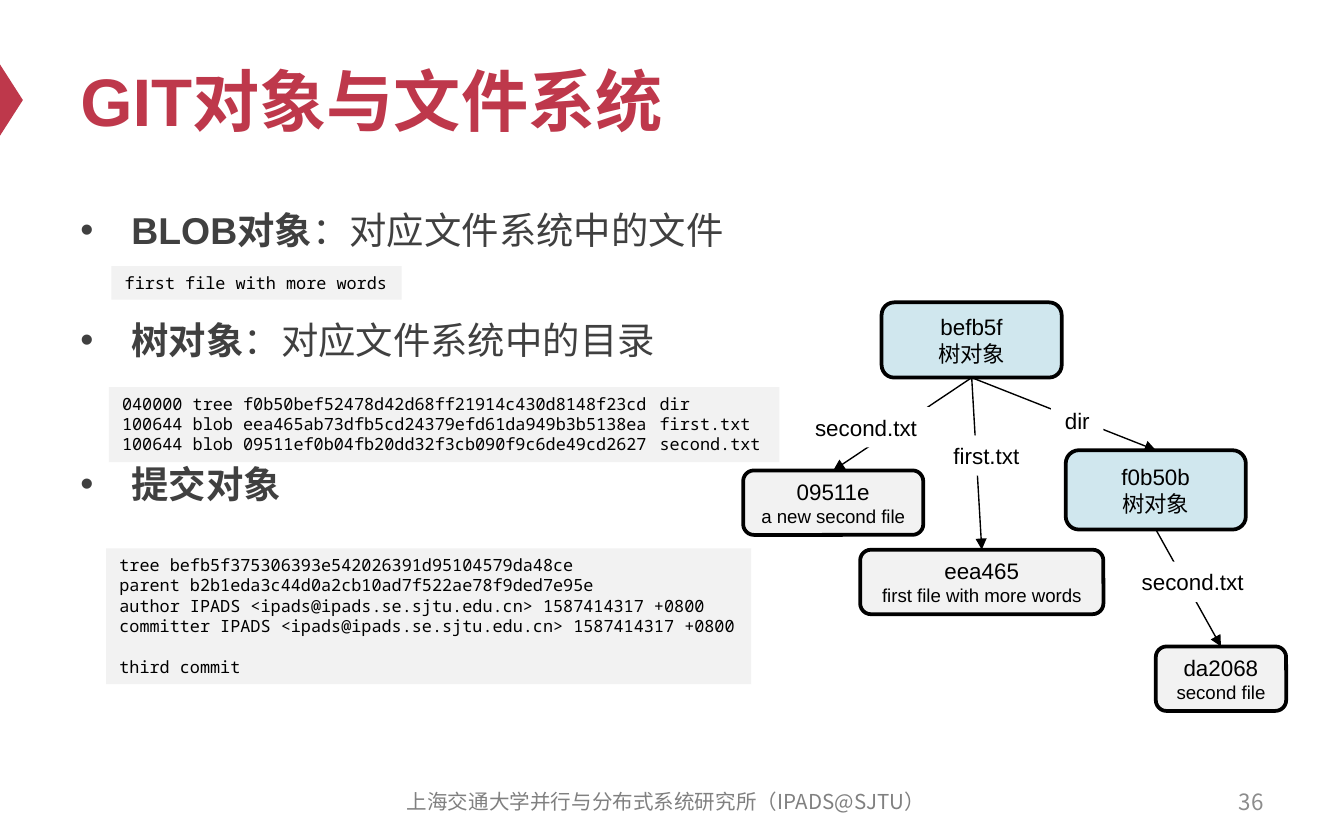
from lxml import etree
from pptx import Presentation
from pptx.dml.color import RGBColor
from pptx.enum.shapes import MSO_CONNECTOR, MSO_SHAPE
from pptx.enum.text import MSO_ANCHOR, MSO_AUTO_SIZE, PP_ALIGN
from pptx.oxml.ns import qn
from pptx.util import Inches, Pt

LEFT, CENTER, RIGHT = PP_ALIGN.LEFT, PP_ALIGN.CENTER, PP_ALIGN.RIGHT
TOP, MIDDLE = MSO_ANCHOR.TOP, MSO_ANCHOR.MIDDLE
FIT = MSO_AUTO_SIZE.SHAPE_TO_FIT_TEXT
RECT, ROUND = MSO_SHAPE.RECTANGLE, MSO_SHAPE.ROUNDED_RECTANGLE
TRIANGLE, STRAIGHT = MSO_SHAPE.ISOSCELES_TRIANGLE, MSO_CONNECTOR.STRAIGHT

COLORS = {"red": "BE384B", "body": "404040", "page": "8C8C8C",
          "foot": "808080", "tree": "D0E7EE", "blob": "F2F2F2",
          "black": "000000", "white": "FFFFFF"}
SANS, CJK, MONO = "Arial", "Noto Sans CJK SC", "Noto Sans Mono"

POINTS = [("BLOB对象", "：对应文件系统中的文件", 0),
          ("树对象", "：对应文件系统中的目录", 35),
          ("提交对象", "", 53)]

BLOB = ["first file with more words"]
TREE = ["040000 tree f0b50bef52478d42d68ff21914c430d8148f23cd\tdir",
        "100644 blob eea465ab73dfb5cd24379efd61da949b3b5138ea\tfirst.txt",
        "100644 blob 09511ef0b04fb20dd32f3cb090f9c6de49cd2627\tsecond.txt"]
COMMIT = ["tree befb5f375306393e542026391d95104579da48ce",
          "parent b2b1eda3c44d0a2cb10ad7f522ae78f9ded7e95e",
          "author IPADS <ipads@ipads.se.sjtu.edu.cn> 1587414317 +0800",
          "committer IPADS <ipads@ipads.se.sjtu.edu.cn> 1587414317 +0800",
          "third commit"]

# Places are relative to the corner of the graph.
NODES = {"befb5f": ("树对象", "tree", (1.03, 0, 1.34, 0.56)),
         "f0b50b": ("树对象", "tree", (2.4, 1.1, 1.34, 0.59)),
         "09511e": ("a new second file", "blob", (0, 1.25, 1.34, 0.48)),
         "eea465": ("first file with more words", "blob",
                    (0.87, 1.84, 1.81, 0.48)),
         "da2068": ("second file", "blob", (3.07, 2.56, 0.97, 0.48))}
LINKS = [("befb5f", "f0b50b", "dir", (2.29, 0.73, 0.39, 0.3)),
         ("befb5f", "eea465", "first.txt", (1.46, 0.99, 0.7, 0.3)),
         ("befb5f", "09511e", "second.txt", (0.43, 0.78, 0.97, 0.3)),
         ("f0b50b", "da2068", "second.txt", (2.86, 1.93, 0.97, 0.3))]


def rgb(name):
    return RGBColor.from_string(COLORS[name])


def style(para, size, font, color, align=LEFT, bold=False):
    para.alignment = align
    para.font.size = Pt(size)
    para.font.name = font
    para.font.bold = bold
    para.font.color.rgb = rgb(color)


def add_lines(frame, lines):
    """Fill a frame with one paragraph per line and return them."""
    for i, line in enumerate(lines):
        para = frame.paragraphs[0] if i == 0 else frame.add_paragraph()
        para.add_run().text = line
    return frame.paragraphs


def add_text(slide, box, anchor=MIDDLE):
    frame = slide.shapes.add_textbox(*map(Inches, box)).text_frame
    frame.word_wrap = True
    frame.vertical_anchor = anchor
    return frame


def add_block(slide, kind, box, fill):
    """Draw a filled shape with no line and no shadow."""
    shape = slide.shapes.add_shape(kind, *map(Inches, box))
    shape.shadow.inherit = False
    shape.fill.solid()
    shape.fill.fore_color.rgb = rgb(fill)
    shape.line.fill.background()
    return shape


def add_fitted(slide, box, fill, lines):
    frame = add_block(slide, RECT, box, fill).text_frame
    frame.word_wrap = False
    frame.auto_size = FIT
    frame.vertical_anchor = TOP
    return add_lines(frame, lines)


def add_title(slide, box, text):
    x, y, w, h = box
    wide, high = 0.53, 0.17
    mark = add_block(slide, TRIANGLE,
                     (x - 0.68, y + 0.41, wide, high), "red")
    mark.rotation = 90
    para = add_lines(add_text(slide, box), [text])[0]
    style(para, 36, SANS, "red", bold=True)


def add_points(slide, box):
    frame = add_text(slide, box, TOP)
    frame.margin_top = Inches(0.08)
    for i, (head, rest, gap) in enumerate(POINTS):
        para = frame.paragraphs[0] if i == 0 else frame.add_paragraph()
        props = para._p.get_or_add_pPr()
        props.set("marL", str(Inches(0.38)))
        props.set("indent", str(-Inches(0.38)))
        etree.SubElement(props, qn("a:buFont")).set("typeface", SANS)
        etree.SubElement(props, qn("a:buChar")).set("char", "•")
        para.space_before = Pt(gap)
        style(para, 20, SANS, "body")
        run = para.add_run()
        run.text = head
        run.font.bold = True
        if rest:
            para.add_run().text = rest


def add_code(slide, box, lines):
    paras = add_fitted(slide, box, "blob", lines)
    for para in paras:
        style(para, 9, MONO, "black")
    return paras


def add_node(slide, box, name, note, kind):
    node = add_block(slide, ROUND, box, kind)
    node.line.color.rgb = rgb("black")
    node.line.width = Pt(2)
    frame = node.text_frame
    frame.word_wrap = True
    frame.vertical_anchor = MIDDLE
    frame.margin_left = frame.margin_right = Inches(0.05)
    sizes = (12, 12 if kind == "tree" else 10)
    for para, size in zip(add_lines(frame, (name, note)), sizes):
        style(para, size, SANS, "black", CENTER)
    return node


def add_arrow(slide, start, end):
    """Join the bottom of one node to the top of another."""
    arrow = slide.shapes.add_connector(STRAIGHT, 0, 0, 0, 0)
    arrow.begin_connect(start, 2)
    arrow.end_connect(end, 0)
    arrow.line.color.rgb = rgb("black")
    arrow.line.width = Pt(0.75)
    etree.SubElement(arrow.line._get_or_add_ln(),
                     qn("a:tailEnd")).set("type", "triangle")
    etree.SubElement(arrow._element.spPr, qn("a:effectLst"))


def add_graph(slide, x, y):
    def shift(box):
        return (x + box[0], y + box[1], *box[2:])

    nodes = {name: add_node(slide, shift(box), name, note, kind)
             for name, (note, kind, box) in NODES.items()}
    for start, end, label, box in LINKS:
        add_arrow(slide, nodes[start], nodes[end])
        para = add_fitted(slide, shift(box), "white", [label])[0]
        style(para, 12, SANS, "black", CENTER)


def add_footer(slide, box, text, page):
    x, y, w, h = box
    para = add_lines(add_text(slide, (x + 4.38, y, 2.33, h)), [page])[0]
    style(para, 12, CJK, "page", RIGHT)
    para = add_lines(add_text(slide, (x, y, 4.33, h)), [text])[0]
    style(para, 11, CJK, "foot", CENTER)


def main():
    deck = Presentation()
    deck.slide_width, deck.slide_height = Inches(10), Inches(6.25)
    slide = deck.slides.add_slide(deck.slide_layouts[6])
    add_title(slide, (0.5, 0.25, 9, 0.98), "GIT对象与文件系统")
    add_points(slide, (0.5, 1.46, 9, 4.12))
    add_code(slide, (0.83, 1.98, 2.16, 0.25), BLOB)
    add_code(slide, (0.81, 2.88, 4.99, 0.56), TREE)
    commit = add_code(slide, (0.79, 4.08, 4.8, 1.01), COMMIT)
    commit[-1].space_before = Pt(11)
    add_graph(slide, 5.53, 2.25)
    add_footer(slide, (2.79, 5.8, 6.71, 0.33),
               "上海交通大学并行与分布式系统研究所（IPADS@SJTU）", "36")
    deck.save("out.pptx")


if __name__ == "__main__":
    main()
